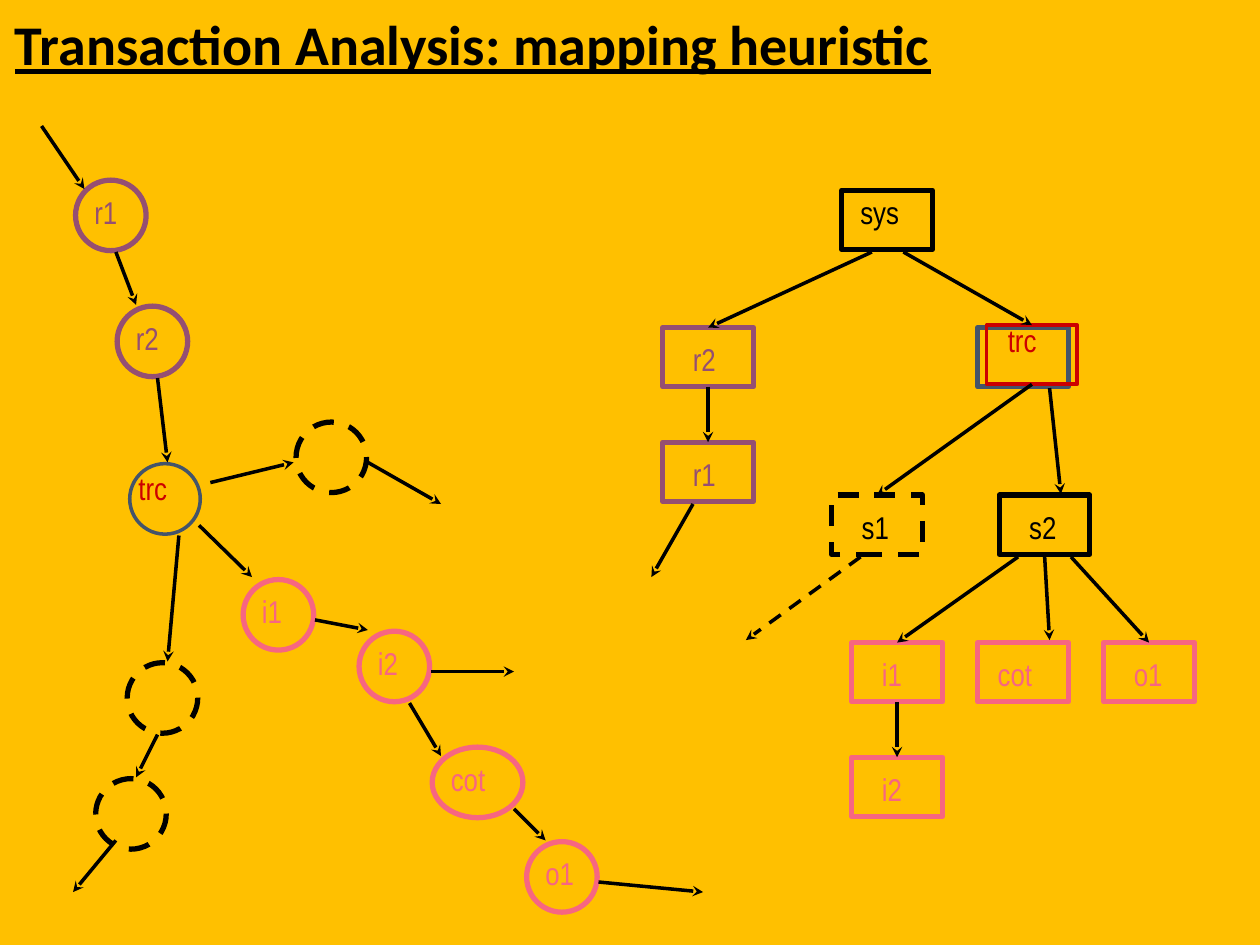
from pptx import Presentation
from pptx.dml.color import RGBColor
from pptx.enum.dml import MSO_LINE
from pptx.enum.shapes import MSO_CONNECTOR, MSO_SHAPE
from pptx.enum.text import MSO_AUTO_SIZE
from pptx.oxml.ns import qn
from pptx.util import Inches, Pt
from lxml.etree import SubElement

AMBER = RGBColor(0xFF, 0xC0, 0x00)
BLACK = RGBColor(0x00, 0x00, 0x00)
PURPLE = RGBColor(0x95, 0x4F, 0x72)
SLATE = RGBColor(0x44, 0x54, 0x6A)
RED = RGBColor(0xCC, 0x00, 0x00)
PINK = RGBColor(0xF7, 0x66, 0x81)

TOP, BOTTOM = 0, 2
CIRCLE = 0.56
BOX_WIDTH, BOX_HEIGHT = 0.72, 0.47
LABEL_WIDTHS = {"r1": 0.44, "r2": 0.44, "s1": 0.49, "s2": 0.49, "i1": 0.41,
                "i2": 0.41, "o1": 0.51, "trc": 0.51, "cot": 0.57, "sys": 1.1}


def add_text(slide, text, left, top, width, height, font_name, size, color, wrap=False):
    box = slide.shapes.add_textbox(Inches(left), Inches(top), Inches(width), Inches(height))
    frame = box.text_frame
    frame.word_wrap = wrap
    frame.auto_size = MSO_AUTO_SIZE.SHAPE_TO_FIT_TEXT
    run = frame.paragraphs[0].add_run()
    run.text = text
    run.font.name = font_name
    run.font.size = Pt(size)
    run.font.color.rgb = color
    return run


def add_label(slide, text, left, top, color):
    add_text(slide, text, left, top, LABEL_WIDTHS[text], 0.5, "Arial Narrow", 18, color)


def add_outline(slide, preset, left, top, width, height, color, weight=3, dashed=False):
    outline = slide.shapes.add_shape(
        preset, Inches(left), Inches(top), Inches(width), Inches(height))
    outline.shadow.inherit = False
    outline.fill.background()
    outline.line.color.rgb = color
    outline.line.width = Pt(weight)
    if dashed:
        outline.line.dash_style = MSO_LINE.DASH
    return outline


def add_arrow(slide, start, end, dashed=False):
    arrow = slide.shapes.add_connector(
        MSO_CONNECTOR.STRAIGHT, *(Inches(value) for value in (*start, *end)))
    arrow.line.color.rgb = BLACK
    arrow.line.width = Pt(2)
    if dashed:
        arrow.line.dash_style = MSO_LINE.DASH
    properties = arrow.element.spPr
    SubElement(properties.find(qn("a:ln")), qn("a:tailEnd"), type="stealth")
    SubElement(properties, qn("a:effectLst"))
    return arrow


def add_title(slide, left, top, width, height):
    run = add_text(slide, "Transaction Analysis: mapping heuristic",
                   left, top, width, height, "Calibri", 32, BLACK, wrap=True)
    run.font.bold = True
    run.font.underline = True


def add_data_flow(slide, left, top):
    processes = [
        ("r1", 0.6, 0.43, CIRCLE, PURPLE),
        ("r2", 0.93, 1.43, CIRCLE, PURPLE),
        ("i1", 1.93, 3.6, CIRCLE, PINK),
        ("i2", 2.85, 4.01, CIRCLE, PINK),
        ("cot", 3.43, 4.93, BOX_WIDTH, PINK),
        ("o1", 4.18, 5.68, CIRCLE, PINK),
    ]
    for name, x, y, width, color in processes:
        add_outline(slide, MSO_SHAPE.OVAL, left + x, top + y, width, CIRCLE, color)
        add_label(slide, name, left + x + 0.05, top + y + 0.05, color)

    add_outline(slide, MSO_SHAPE.OVAL, left + 1.03, top + 2.68, CIRCLE, CIRCLE, SLATE, 2)
    add_label(slide, "trc", left + 1, top + 2.67, RED)

    for x, y in [(1.01, 4.26), (0.76, 5.18), (2.35, 2.35)]:
        add_outline(slide, MSO_SHAPE.OVAL, left + x, top + y, CIRCLE, CIRCLE, BLACK, dashed=True)

    flows = [
        (0.33, 0, 0.67, 0.5), (0.92, 1, 1.08, 1.42), (1.25, 2, 1.33, 2.67),
        (1.58, 3.17, 2, 3.58), (2.5, 3.92, 2.92, 4), (3.42, 4.33, 4.08, 4.33),
        (3.25, 4.58, 3.5, 5), (4.08, 5.42, 4.33, 5.67), (4.75, 6, 5.58, 6.08),
        (1.42, 3.25, 1.33, 4.25), (1.25, 4.83, 1.08, 5.17), (0.92, 5.67, 0.58, 6.08),
        (1.67, 2.83, 2.33, 2.67), (2.92, 2.67, 3.5, 3),
    ]
    for x1, y1, x2, y2 in flows:
        add_arrow(slide, (left + x1, top + y1), (left + x2, top + y2))


def add_structure_chart(slide, left, top):
    modules = [
        ("sys", 1.68, 0.01, BLACK, BLACK, 0.05, -0.03),
        ("r2", 0.26, 1.1, PURPLE, PURPLE, 0.14, 0.05),
        ("r1", 0.26, 2.01, PURPLE, PURPLE, 0.14, 0.05),
        ("trc", 2.76, 1.1, SLATE, RED, 0.14, -0.1),
        ("s1", 1.6, 2.43, BLACK, BLACK, 0.14, 0.05),
        ("s2", 2.93, 2.43, BLACK, BLACK, 0.14, 0.05),
        ("i1", 1.76, 3.6, PINK, PINK, 0.14, 0.05),
        ("i2", 1.76, 4.51, PINK, PINK, 0.14, 0.05),
        ("cot", 2.76, 3.6, PINK, PINK, 0.06, 0.05),
        ("o1", 3.76, 3.6, PINK, PINK, 0.14, 0.05),
    ]
    boxes = {}
    for name, x, y, color, label_color, dx, dy in modules:
        boxes[name] = add_outline(slide, MSO_SHAPE.RECTANGLE, left + x, top + y,
                                  BOX_WIDTH, BOX_HEIGHT, color, dashed=name == "s1")
        add_label(slide, name, left + x + dx, top + y + dy, label_color)
    boxes["center"] = add_outline(slide, MSO_SHAPE.RECTANGLE, left + 2.83, top + 1.08,
                                  BOX_WIDTH, BOX_HEIGHT, RED, 2)

    calls = [
        (None, 1.92, 0.5, "r2", 0.67, 1.08),
        (None, 2.17, 0.5, "center", 3.17, 1.08),
        ("r2", 0.58, 1.58, "r1", 0.58, 2),
        (None, 0.5, 2.5, None, 0.17, 3.08),
        ("center", 3.17, 1.58, "s1", 1.92, 2.42),
        (None, 3.33, 1.58, None, 3.42, 2.42),
        (None, 1.83, 2.92, None, 0.92, 3.58),
        (None, 3.08, 2.92, "i1", 2.17, 3.58),
        ("s2", 3.33, 2.92, None, 3.33, 3.58),
        (None, 3.5, 2.92, "o1", 4.17, 3.58),
        ("i1", 2.17, 4.08, "i2", 2.17, 4.5),
    ]
    for caller, x1, y1, called, x2, y2 in calls:
        arrow = add_arrow(slide, (left + x1, top + y1), (left + x2, top + y2),
                          dashed=(x2, y2) == (0.92, 3.58))
        if caller:
            arrow.begin_connect(boxes[caller], BOTTOM)
        if called:
            arrow.end_connect(boxes[called], TOP)


def main():
    presentation = Presentation()
    presentation.slide_width = Inches(10)
    presentation.slide_height = Inches(7.5)
    slide = presentation.slides.add_slide(presentation.slide_layouts[6])
    slide.background.fill.solid()
    slide.background.fill.fore_color.rgb = AMBER
    add_title(slide, 0.02, 0.03, 7.75, 0.64)
    add_data_flow(slide, 0, 1)
    add_structure_chart(slide, 5, 1.5)
    presentation.save("out.pptx")


if __name__ == "__main__":
    main()
